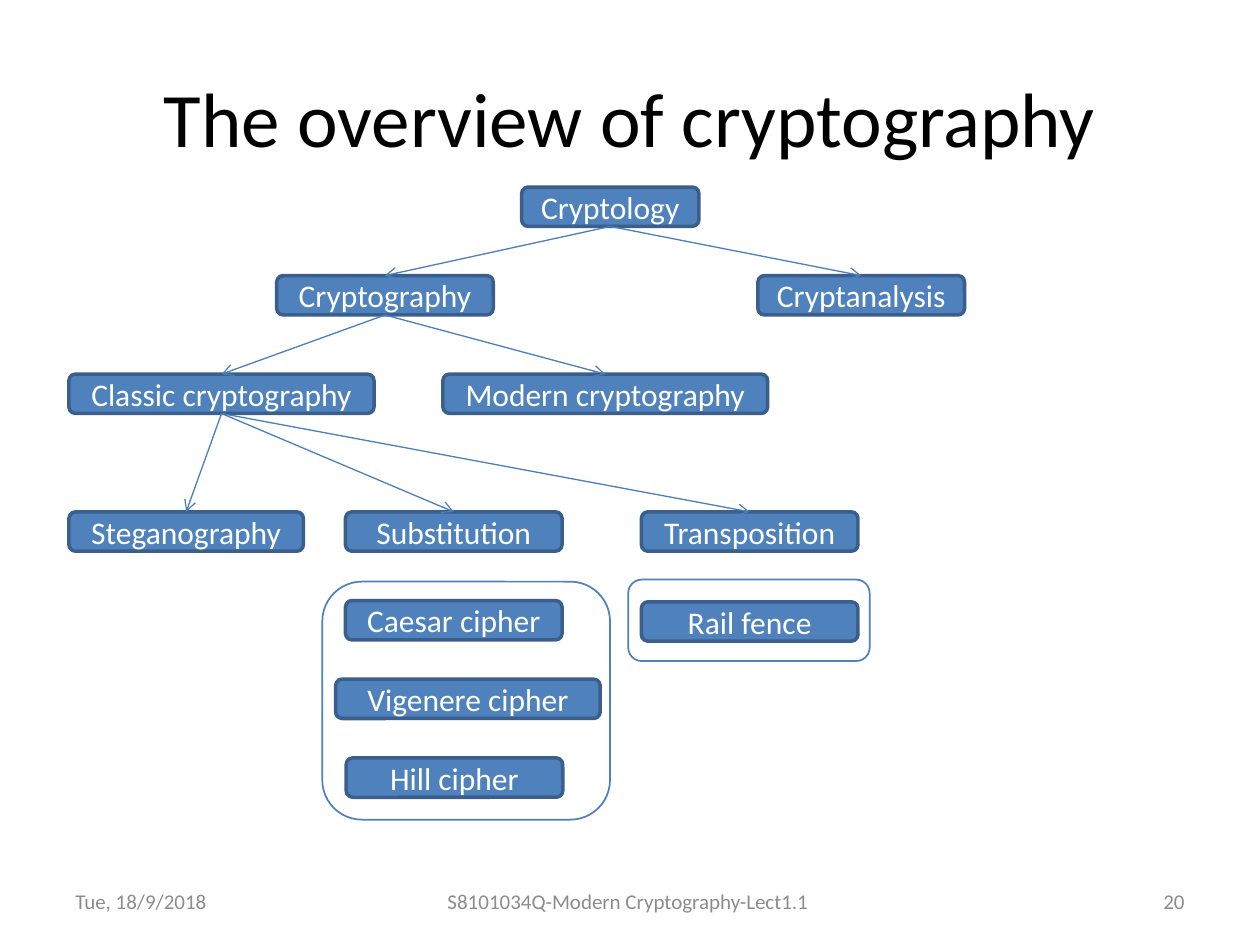
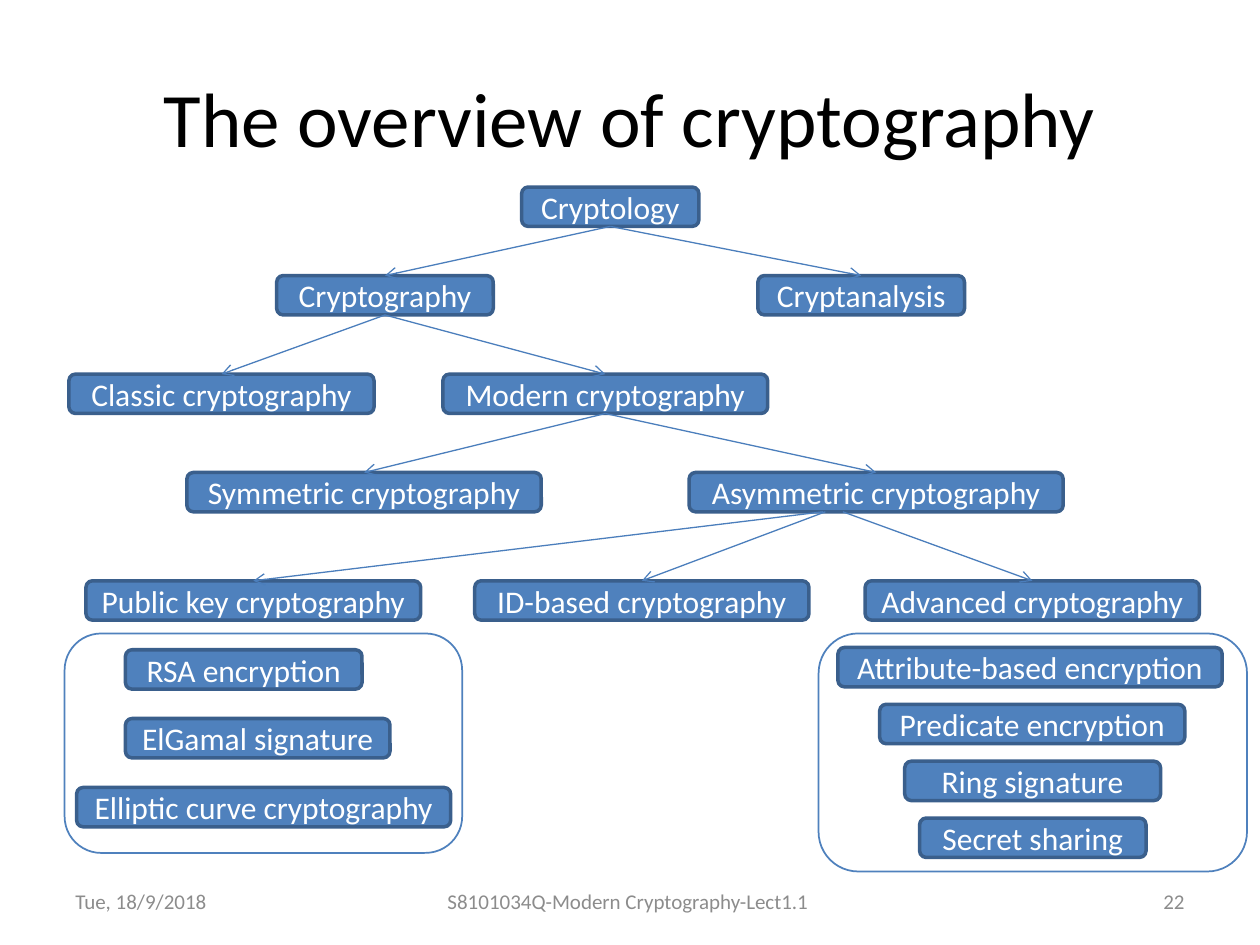
import pptx
import pptx.util
import pptx.dml.color
import pptx.enum.shapes
import pptx.enum.text
import lxml.etree
from pptx.oxml.ns import qn

Pt = pptx.util.Pt
RGBColor = pptx.dml.color.RGBColor
SHAPE = pptx.enum.shapes.MSO_SHAPE
ALIGN = pptx.enum.text.PP_ALIGN
MIDDLE = pptx.enum.text.MSO_ANCHOR.MIDDLE

FONT = "Calibri"
BLACK = RGBColor(0x00, 0x00, 0x00)
WHITE = RGBColor(0xFF, 0xFF, 0xFF)
GREY = RGBColor(0x8C, 0x8C, 0x8C)
BLUE = RGBColor(0x4F, 0x81, 0xBD)
EDGE = RGBColor(0x3A, 0x5F, 0x8C)
ARROW = RGBColor(0x4B, 0x7E, 0xBC)

TITLE = "The overview of cryptography"
DATE = "Tue, 18/9/2018"
COURSE = "S8101034Q-Modern Cryptography-Lect1.1"
NODE_H = 22.5

SHARED_NODES = [
    ("Cryptology", 298.1, 106.9, 101.3),
    ("Cryptography", 158.1, 157.5, 123.8),
    ("Cryptanalysis", 433.1, 157.5, 118.1),
    ("Classic cryptography", 39.4, 213.8, 174.4),
    ("Modern cryptography", 253.1, 213.8, 185.6),
]
SHARED_LINKS = [
    ("Cryptology", "Cryptography"),
    ("Cryptology", "Cryptanalysis"),
    ("Cryptography", "Classic cryptography"),
    ("Cryptography", "Modern cryptography"),
]

SLIDES = [
    {
        "number": "20",
        "nodes": [
            ("Steganography", 39.4, 292.5, 134),
            ("Substitution", 197.4, 292.5, 123.8),
            ("Transposition", 366.5, 292.5, 123.8),
            ("Caesar cipher", 197.4, 343.2, 123.8),
            ("Vigenere cipher", 191.8, 388.1, 151.2),
            ("Hill cipher", 197.8, 433.1, 123.8),
            ("Rail fence", 366.5, 343.9, 123.8),
        ],
        "links": [
            ("Classic cryptography", "Steganography"),
            ("Classic cryptography", "Substitution"),
            ("Classic cryptography", "Transposition"),
        ],
        "offset_links": [],
        "frames": [(184.2, 332.4, 164.4, 136), (359, 331.2, 138, 46.6)],
    },
    {
        "number": "22",
        "nodes": [
            ("Symmetric cryptography", 106.8, 270, 202.5),
            ("Asymmetric cryptography", 393.8, 270, 213.8),
            ("Public key cryptography", 49.1, 331.9, 191.3),
            ("ID-based cryptography", 271.3, 331.9, 191),
            ("Advanced cryptography", 494.4, 331.9, 191),
            ("RSA encryption", 71.7, 371.3, 135.2),
            ("ElGamal signature", 71.7, 410.6, 151.2),
            ("Elliptic curve cryptography", 43.8, 450, 213.8),
            ("Attribute-based encryption", 478.8, 370, 219.6),
            ("Predicate encryption", 502.7, 402.5, 174.4),
            ("Ring signature", 517, 435, 146.2),
            ("Secret sharing", 525.5, 467.5, 129.4),
        ],
        "links": [
            ("Modern cryptography", "Symmetric cryptography"),
            ("Modern cryptography", "Asymmetric cryptography"),
        ],
        "offset_links": [
            (470.2, "Asymmetric cryptography", "Public key cryptography"),
            (471.6, "Asymmetric cryptography", "ID-based cryptography"),
            (481.7, "Asymmetric cryptography", "Advanced cryptography"),
        ],
        "frames": [(36.9, 362, 227.2, 125.4), (467.8, 362, 244.8, 136)],
    },
]


def write(tf, text, size, color, align):
    tf.word_wrap = True
    tf.vertical_anchor = MIDDLE
    p = tf.paragraphs[0]
    p.alignment = align
    r = p.add_run()
    r.text = text
    r.font.name = FONT
    r.font.size = Pt(size)
    r.font.color.rgb = color


def add_round_rect(s, x, y, w, h, line, width):
    sp = s.shapes.add_shape(SHAPE.ROUNDED_RECTANGLE, Pt(x), Pt(y), Pt(w), Pt(h))
    sp.shadow.inherit = False
    sp.line.color.rgb = line
    sp.line.width = Pt(width)
    return sp


def add_node(s, text, x, y, w):
    sp = add_round_rect(s, x, y, w, NODE_H, EDGE, 2)
    sp.fill.solid()
    sp.fill.fore_color.rgb = BLUE
    write(sp.text_frame, text, 18, WHITE, ALIGN.CENTER)
    return sp


def add_arrow(s, parent, child, start_x=None):
    if start_x is None:
        start = parent.left + parent.width // 2
    else:
        start = Pt(start_x)
    cx = s.shapes.add_connector(
        pptx.enum.shapes.MSO_CONNECTOR.STRAIGHT,
        start, parent.top + parent.height,
        child.left + child.width // 2, child.top)
    if start_x is None:
        cx.begin_connect(parent, 2)
    cx.end_connect(child, 0)
    cx.line.color.rgb = ARROW
    cx.line.width = Pt(0.75)
    lxml.etree.SubElement(cx.line._get_or_add_ln(), qn("a:tailEnd"), type="arrow")
    lxml.etree.SubElement(cx._element.spPr, qn("a:effectLst"))


def add_title_and_footer(s, number):
    title = s.shapes.title
    title.left, title.top, title.width, title.height = Pt(36), Pt(21.6), Pt(648), Pt(90)
    write(title.text_frame, TITLE, 44, BLACK, ALIGN.CENTER)
    footers = [
        (DATE, 36, 168, ALIGN.LEFT),
        (COURSE, 213.8, 290.2, ALIGN.CENTER),
        (number, 516, 168, ALIGN.RIGHT),
    ]
    for text, x, w, align in footers:
        sp = s.shapes.add_textbox(Pt(x), Pt(500.5), Pt(w), Pt(28.75))
        write(sp.text_frame, text, 12, GREY, align)


def build_slide(prs, data):
    s = prs.slides.add_slide(prs.slide_layouts[5])
    add_title_and_footer(s, data["number"])
    nodes = {}
    for text, x, y, w in SHARED_NODES + data["nodes"]:
        nodes[text] = add_node(s, text, x, y, w)
    for parent, child in SHARED_LINKS + data["links"]:
        add_arrow(s, nodes[parent], nodes[child])
    for start_x, parent, child in data["offset_links"]:
        add_arrow(s, nodes[parent], nodes[child], start_x)
    for frame in data["frames"]:
        add_round_rect(s, *frame, BLUE, 1).fill.background()


def main():
    prs = pptx.Presentation()
    prs.slide_width, prs.slide_height = Pt(720), Pt(540)
    for data in SLIDES:
        build_slide(prs, data)
    prs.save("out.pptx")


if __name__ == "__main__":
    main()
